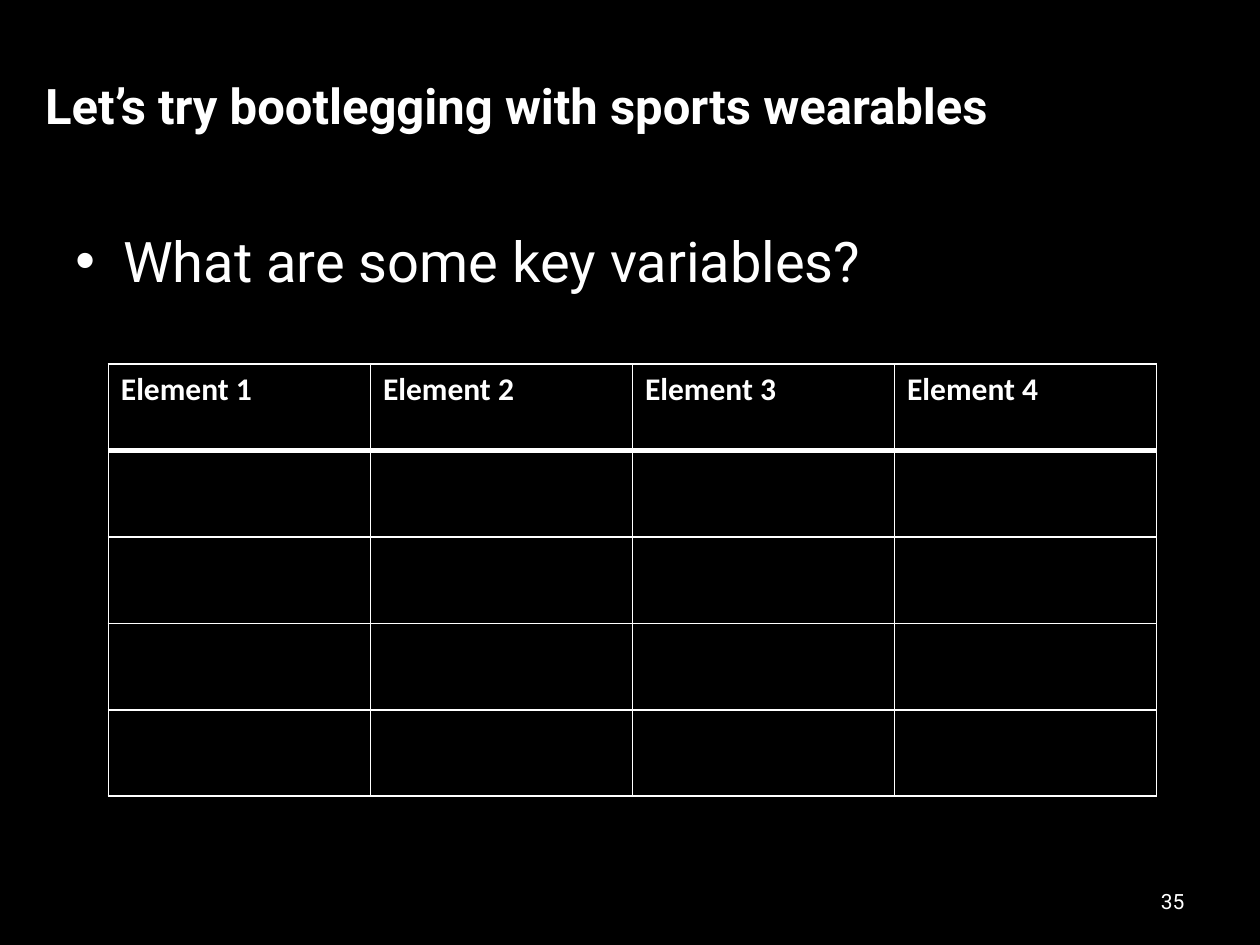
from lxml import etree
from pptx import Presentation
from pptx.dml.color import RGBColor
from pptx.enum import text
from pptx.oxml import ns
from pptx.util import Inches, Pt

WHITE = "FFFFFF"
BLACK = "000000"
HEADINGS = ["Element 1", "Element 2", "Element 3", "Element 4"]
ROW_COUNT = 5


def color(hex_value):
    return RGBColor.from_string(hex_value)


def style(paragraph, size, font="Roboto", bold=False):
    for run in paragraph.runs:
        run.font.name = font
        run.font.size = Pt(size)
        run.font.bold = bold
        run.font.color.rgb = color(WHITE)


def add_text(slide, words, left, top, width, height, size, bold=False,
             anchor=text.MSO_ANCHOR.MIDDLE, align=text.PP_ALIGN.LEFT):
    box = slide.shapes.add_textbox(
        Inches(left), Inches(top), Inches(width), Inches(height))
    frame = box.text_frame
    frame.word_wrap = True
    frame.vertical_anchor = anchor
    frame.text = words
    paragraph = frame.paragraphs[0]
    paragraph.alignment = align
    style(paragraph, size, bold=bold)
    return paragraph


def add_bullet(paragraph, indent):
    properties = paragraph._p.get_or_add_pPr()
    properties.set("marL", str(Inches(indent)))
    properties.set("indent", str(Inches(-indent)))
    etree.SubElement(properties, ns.qn("a:buFont"), typeface="Arial")
    etree.SubElement(properties, ns.qn("a:buChar"), char="•")


def add_border(cell, side, width):
    line = etree.SubElement(
        cell._tc.get_or_add_tcPr(), ns.qn(f"a:ln{side}"), w=str(Pt(width)))
    fill = etree.SubElement(line, ns.qn("a:solidFill"))
    etree.SubElement(fill, ns.qn("a:srgbClr"), val=WHITE)


def add_variables_table(slide):
    table = slide.shapes.add_table(
        ROW_COUNT, len(HEADINGS), Inches(0.86), Inches(2.89),
        Inches(8.32), Inches(3.43)).table
    for row_index, row in enumerate(table.rows):
        for column_index, cell in enumerate(row.cells):
            if row_index == 0:
                cell.text = HEADINGS[column_index]
                style(cell.text_frame.paragraphs[0], 18, "Calibri", bold=True)
            widths = {"L": 1, "R": 1,
                      "T": 3 if row_index == 1 else 1,
                      "B": 3 if row_index == 0 else 1}
            for side, width in widths.items():
                add_border(cell, side, width)
            cell.fill.solid()
            cell.fill.fore_color.rgb = color(BLACK)


def main():
    deck = Presentation()
    deck.slide_width = Inches(10)
    deck.slide_height = Inches(7.5)
    slide = deck.slides.add_slide(deck.slide_layouts[6])
    slide.background.fill.solid()
    slide.background.fill.fore_color.rgb = color(BLACK)

    add_text(slide, "Let’s try bootlegging with sports wearables",
             0.26, 0.14, 9.5, 1.39, 28, bold=True)
    question = add_text(slide, "What are some key variables?",
                        0.5, 1.75, 9, 5.52, 32, anchor=text.MSO_ANCHOR.TOP)
    add_bullet(question, 0.38)
    add_text(slide, "35", 7.17, 6.95, 2.33, 0.4, 12,
             align=text.PP_ALIGN.RIGHT)
    add_variables_table(slide)
    deck.save("out.pptx")


if __name__ == "__main__":
    main()
